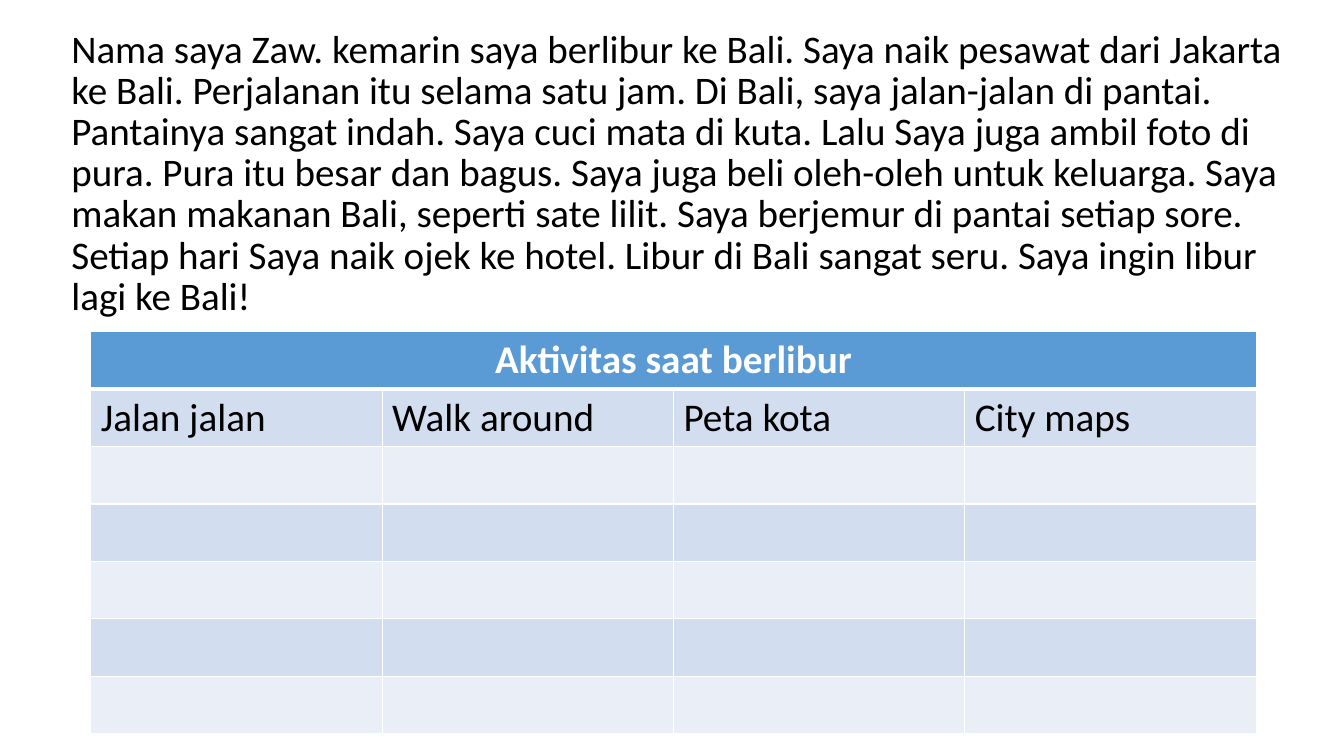
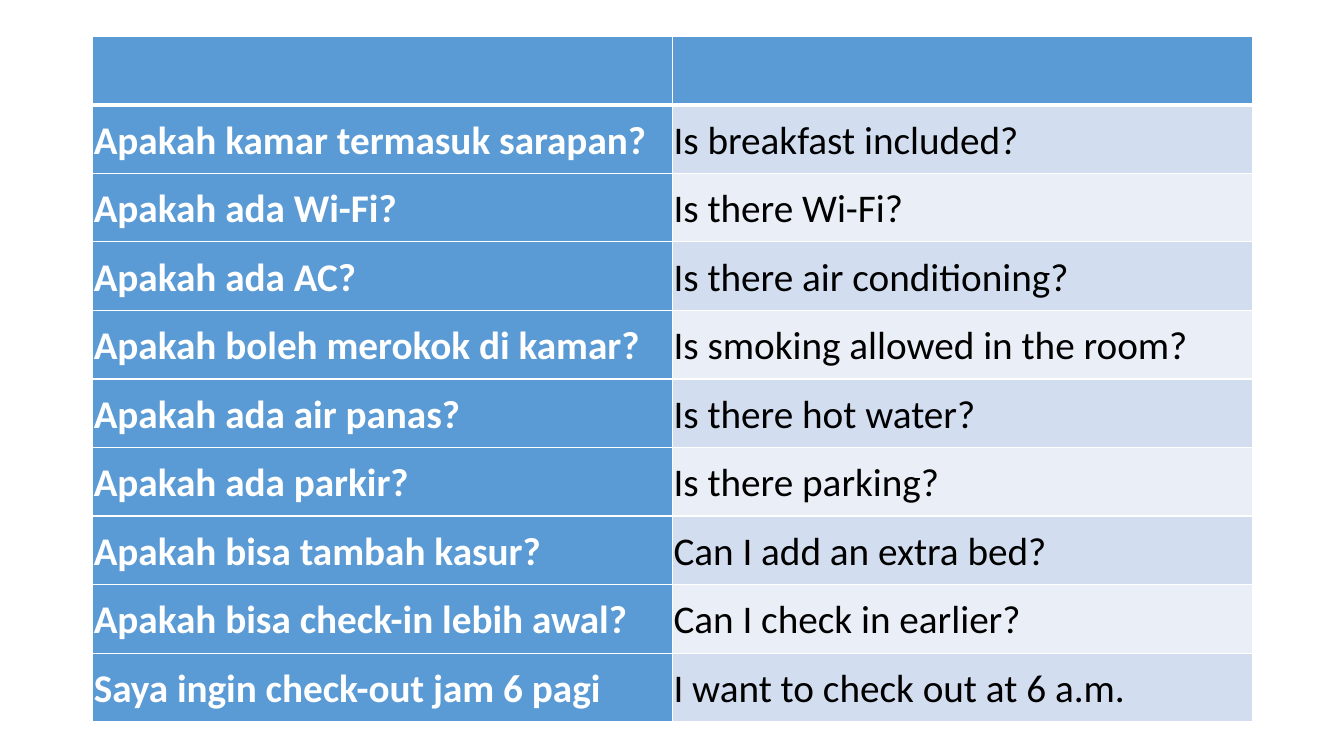
from dataclasses import dataclass

from lxml.etree import SubElement
from pptx import Presentation
from pptx.dml.color import RGBColor as RGB
from pptx.enum.text import MSO_ANCHOR as ANCHOR, PP_ALIGN as ALIGN
from pptx.oxml.ns import qn
from pptx.util import Inches, Pt


@dataclass(frozen=True)
class Theme:
    font: str = "Calibri"
    story_size: float = 27.9
    cell_size: float = 28
    header: str = "5B9BD5"
    bands: tuple = ("EAEFF7", "D2DEEF")
    dark: str = "000000"
    light: str = "FFFFFF"
    rule: float = 1
    header_rule: float = 3


T = Theme()


def style(p, size, color, bold=False):
    p.font.name, p.font.size, p.font.bold = T.font, Pt(size), bold
    p.font.color.rgb = RGB.from_string(color)


def add_grid(s, rows, left, top, col_w, row_h, label_cols=0):
    """Add a banded table with a header row and optional header-coloured columns."""
    n_rows, n_cols = len(rows), len(rows[0])
    table = s.shapes.add_table(n_rows, n_cols, Inches(left), Inches(top),
                               Inches(col_w * n_cols), Inches(row_h * n_rows)).table
    table.horz_banding = False
    for col in table.columns:
        col.width = Inches(col_w)
    for i, row in enumerate(rows):
        table.rows[i].height = Inches(row_h)
        for j, text in enumerate(row):
            cell = table.cell(i, j)
            tc_pr = cell._tc.get_or_add_tcPr()
            widths = {"L": T.rule, "R": T.rule,
                      "T": T.header_rule if i == 1 else T.rule,
                      "B": T.header_rule if i == 0 else T.rule}
            for side, width in widths.items():
                ln = SubElement(tc_pr, qn(f"a:ln{side}"), w=str(Pt(width)))
                SubElement(SubElement(ln, qn("a:solidFill")), qn("a:srgbClr"), val=T.light)
            heading = i == 0 or j < label_cols
            cell.fill.solid()
            cell.fill.fore_color.rgb = RGB.from_string(T.header if heading else T.bands[i % 2])
            cell.text = text
            style(cell.text_frame.paragraphs[0], T.cell_size,
                  T.light if heading else T.dark, heading)
    return table


prs = Presentation()
prs.slide_width, prs.slide_height = Inches(13.33), Inches(7.5)
blank = prs.slide_layouts[6]

# Holiday story and activity table
STORY = (
    "Nama saya Zaw. kemarin saya berlibur ke Bali. Saya naik pesawat dari Jakarta ke Bali. "
    "Perjalanan itu selama satu jam. Di Bali, saya jalan-jalan di pantai. Pantainya sangat "
    "indah. Saya cuci mata di kuta. Lalu Saya juga ambil foto di pura. Pura itu besar dan "
    "bagus. Saya juga beli oleh-oleh untuk keluarga. Saya makan makanan Bali, seperti sate "
    "lilit. Saya berjemur di pantai setiap sore. Setiap hari Saya naik ojek ke hotel. Libur "
    "di Bali sangat seru. Saya ingin libur lagi ke Bali!"
)
s = prs.slides.add_slide(blank)
tf = s.shapes.add_textbox(Inches(0.61), Inches(0.23), Inches(12.38), Inches(3)).text_frame
tf.word_wrap = True
tf.vertical_anchor = ANCHOR.MIDDLE
p = tf.paragraphs[0]
p.text = STORY
p.line_spacing = 0.88
style(p, T.story_size, T.dark)

activities = [
    ["Aktivitas saat berlibur", "", "", ""],
    ["Jalan jalan", "Walk around", "Peta kota", "City maps"],
] + [[""] * 4] * 5
table = add_grid(s, activities, left=0.9, top=3.29, col_w=2.89, row_h=0.57)
title = table.cell(0, 0)
title.merge(table.cell(0, 3))
title.text_frame.paragraphs[0].alignment = ALIGN.CENTER

# Hotel questions
questions = [
    ("", ""),
    ("Apakah kamar termasuk sarapan?", "Is breakfast included?"),
    ("Apakah ada Wi-Fi?", "Is there Wi-Fi?"),
    ("Apakah ada AC?", "Is there air conditioning?"),
    ("Apakah boleh merokok di kamar?", "Is smoking allowed in the room?"),
    ("Apakah ada air panas?", "Is there hot water?"),
    ("Apakah ada parkir?", "Is there parking?"),
    ("Apakah bisa tambah kasur?", "Can I add an extra bed?"),
    ("Apakah bisa check-in lebih awal?", "Can I check in earlier?"),
    ("Saya ingin check-out jam 6 pagi", "I want to check out at 6 a.m."),
]
s = prs.slides.add_slide(blank)
table = add_grid(s, questions, left=0.92, top=0.36, col_w=5.75, row_h=0.68, label_cols=1)
for cell in table.iter_cells():
    cell.vertical_anchor = ANCHOR.MIDDLE
    cell.margin_left = cell.margin_right = Inches(0.01)
    cell.margin_top = cell.margin_bottom = Inches(0.01)
    cell.text_frame.paragraphs[0].line_spacing = 1.07

prs.save("out.pptx")
